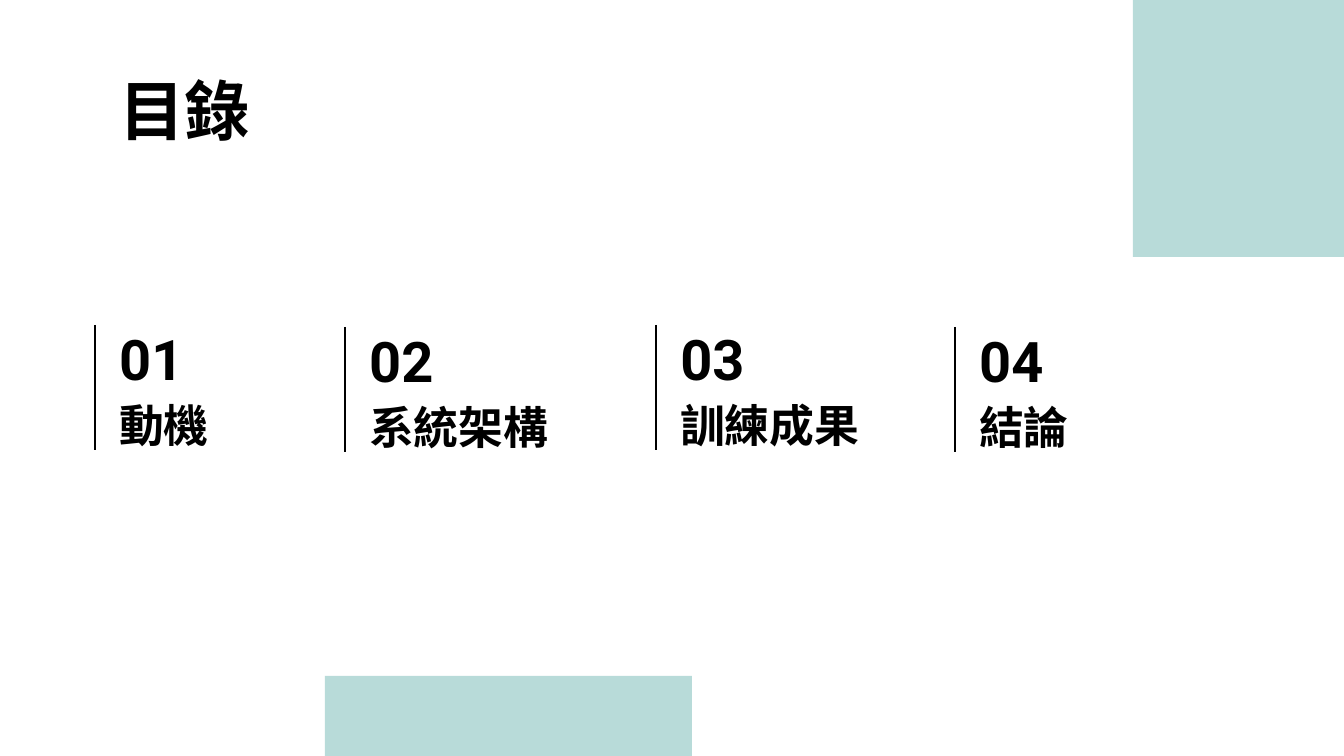
from lxml import etree
from pptx import Presentation
from pptx import util as u
from pptx.dml.color import RGBColor
from pptx.enum import shapes, text
from pptx.oxml import ns

SCALE = 914400 / 134.4
BLACK = RGBColor(0x00, 0x00, 0x00)
TEAL = RGBColor(0xB8, 0xDB, 0xD9)
CJK = "Noto Sans CJK SC"
LATIN = "Roboto"
RULE_GAP = 11
RULE_HEIGHT = 125
CHAPTERS = [
    ("01", "動機", 106, 325, 218),
    ("02", "系統架構", 356, 327, 218),
    ("03", "訓練成果", 667, 325, 218),
    ("04", "結論", 966, 327, 310),
]


def px(length):
    """Turn a length in px into EMU."""
    return u.Emu(round(length * SCALE))


def add_text(page, wording, left, top, width, height, *, size, font,
             anchor=text.MSO_ANCHOR.MIDDLE, spacing=1.0):
    """Add a bold one-line text box."""
    box = page.shapes.add_textbox(px(left), px(top), px(width), px(height))
    frame = box.text_frame
    frame.word_wrap = True
    frame.vertical_anchor = anchor
    frame.margin_left = frame.margin_right = u.Inches(0.1)
    frame.margin_top = frame.margin_bottom = u.Inches(0.1)
    para = frame.paragraphs[0]
    para.line_spacing = spacing
    span = para.add_run()
    span.text = wording
    span.font.size = u.Pt(size)
    span.font.bold = True
    span.font.name = font
    span.font.color.rgb = BLACK
    east_asian = etree.SubElement(span.font._element, ns.qn("a:ea"))
    east_asian.set("typeface", font)


def add_block(page, left, top, width, height):
    """Add a plain teal rectangle."""
    block = page.shapes.add_shape(shapes.MSO_SHAPE.RECTANGLE,
                                  px(left), px(top), px(width), px(height))
    block.shadow.inherit = False
    block.fill.solid()
    block.fill.fore_color.rgb = TEAL
    block.line.fill.background()


def add_rule(page, x, top):
    """Add a thin vertical rule."""
    rule = page.shapes.add_connector(shapes.MSO_CONNECTOR.STRAIGHT, px(x), px(top),
                                     px(x), px(top + RULE_HEIGHT))
    rule.line.width = u.Pt(1.5)
    rule.line.color.rgb = BLACK
    etree.SubElement(rule._element.spPr, ns.qn("a:effectLst"))


def add_chapter(page, number, name, left, top, name_width):
    """Add a chapter number and name beside a rule."""
    add_text(page, number, left, top, 310, 66, size=30, font=LATIN)
    add_text(page, name, left, top + 71, name_width, 58, size=24, font=CJK)
    add_rule(page, left - RULE_GAP, top)


def main():
    """Build the contents slide."""
    deck = Presentation()
    deck.slide_width, deck.slide_height = px(1344), px(756)
    page = deck.slides.add_slide(deck.slide_layouts[6])
    add_block(page, 325, 676, 367, 152)
    add_text(page, "目錄", 106, 66, 1133, 85, size=35, font=CJK,
             anchor=text.MSO_ANCHOR.TOP, spacing=0.9)
    for chapter in CHAPTERS:
        add_chapter(page, *chapter)
    add_block(page, 1133, -263, 337, 520)
    deck.save("out.pptx")


if __name__ == "__main__":
    main()
